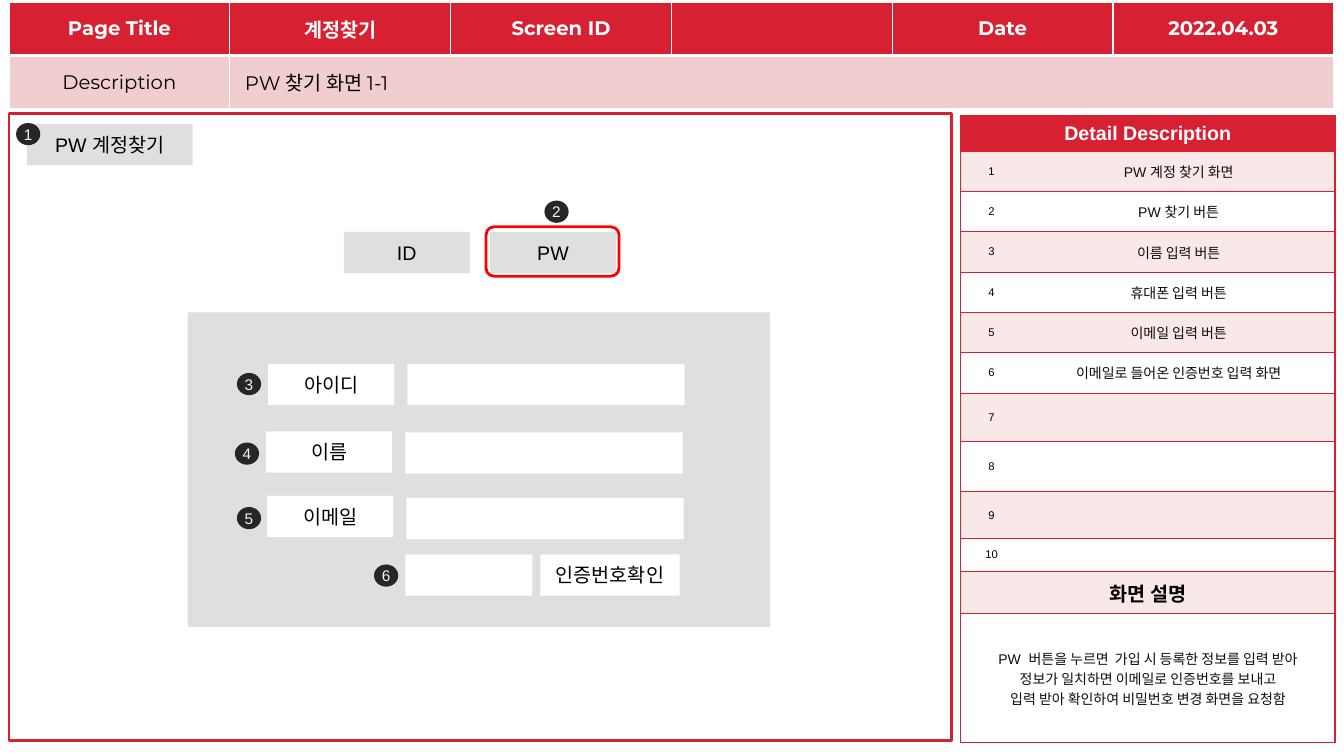
from pptx import Presentation, util as u
from pptx.dml.color import RGBColor
from pptx.enum import shapes, text
from pptx.oxml.xmlchemy import OxmlElement

RED, WHITE, BLACK, GREY = "D82033", "FFFFFF", "000000", "DFDFDF"
PINK, PALE, INK = "F0CDCE", "F8E8E8", "0D0D0D"
NO_STYLE = "{2D5ABB26-0587-4C30-8999-92F81FD0307C}"
RECT = shapes.MSO_SHAPE.RECTANGLE


def color(hex_value):
    return RGBColor.from_string(hex_value)


class Wireframe:
    """Draws the parts of a screen plan on one slide."""
    font = "Arial"
    body_size = 14

    def __init__(self, slide):
        self.slide = slide

    def add_lines(self, frame, lines, size, ink, bold=False, font=None,
                  align=text.PP_ALIGN.CENTER):
        frame.word_wrap = True
        for i, line in enumerate(lines):
            paragraph = frame.paragraphs[0] if i == 0 else frame.add_paragraph()
            paragraph.alignment = align
            run = paragraph.add_run()
            run.text = line
            run.font.size = u.Pt(size)
            run.font.name = font or self.font
            run.font.bold = bold
            run.font.color.rgb = color(ink)

    def box(self, x, y, w, h, fill=WHITE, label="", line=None, kind=RECT,
            size=body_size, ink=BLACK, inset=0.1):
        shape = self.slide.shapes.add_shape(kind, *map(u.Inches, (x, y, w, h)))
        shape.shadow.inherit = False
        if fill:
            shape.fill.solid()
            shape.fill.fore_color.rgb = color(fill)
        else:
            shape.fill.background()
        if line:
            shape.line.color.rgb = color(line)
            shape.line.width = u.Pt(2)
        else:
            shape.line.fill.background()
        if label:
            frame = shape.text_frame
            frame.margin_left = frame.margin_right = u.Inches(inset)
            frame.margin_top = frame.margin_bottom = 0
            frame.vertical_anchor = text.MSO_ANCHOR.MIDDLE
            self.add_lines(frame, [label], size, ink)

    def badge(self, number, x, y):
        self.box(x, y, 0.24, 0.22, "262626", str(number), size=11, ink="F2F2F2",
                 kind=shapes.MSO_SHAPE.OVAL, inset=0)

    def table(self, x, y, widths, heights):
        table = self.slide.shapes.add_table(
            len(heights), len(widths),
            *map(u.Inches, (x, y, sum(widths), sum(heights)))).table
        table.first_row = table.horz_banding = False
        table._tbl.tblPr[0].text = NO_STYLE
        for column, width in zip(table.columns, widths):
            column.width = u.Inches(width)
        for row, height in zip(table.rows, heights):
            row.height = u.Inches(height)
        return table

    def cell(self, cell, lines, fill, borders, size=body_size, ink=BLACK, **style):
        cell.fill.solid()
        cell.fill.fore_color.rgb = color(fill)
        cell.vertical_anchor = text.MSO_ANCHOR.MIDDLE
        if lines:
            self.add_lines(cell.text_frame, lines, size, ink, **style)
        else:
            end = OxmlElement("a:endParaRPr")
            end.set("sz", str(size * 100))
            cell.text_frame.paragraphs[0]._p.append(end)
        self.borders(cell, *borders)

    def borders(self, cell, line, widths):
        """Widths in points by side, in the order L, R, T, B."""
        properties = cell._tc.get_or_add_tcPr()
        for i, (side, width) in enumerate(widths.items()):
            edge = OxmlElement("a:ln" + side)
            edge.set("w", str(u.Pt(width)))
            solid = OxmlElement("a:solidFill")
            tone = OxmlElement("a:srgbClr")
            tone.set("val", line)
            solid.append(tone)
            edge.append(solid)
            properties.insert(i, edge)


def page_header(plan):
    header = plan.table(0.09, 0.02, [2.19] * 6, [0.53] * 2)
    titles = ["Page Title", "계정찾기", "Screen ID", "", "Date", "2022.04.03"]
    thin = dict.fromkeys("LRTB", 1)
    for column, title in enumerate(titles):
        plan.cell(header.cell(0, column), [title] if title else [], RED,
                  (WHITE, {**thin, "B": 3}), ink=WHITE, bold=True, font="Montserrat")
    header.cell(1, 1).merge(header.cell(1, 5))
    plan.cell(header.cell(1, 0), ["Description"], PINK, (WHITE, {**thin, "T": 3}),
              font="Montserrat")
    summary = header.cell(1, 1)
    plan.cell(summary, ["PW 찾기 화면 1-1"], PINK, (WHITE, {**thin, "T": 3}),
              font="Montserrat", align=text.PP_ALIGN.LEFT)
    summary.margin_left = u.Inches(0.15)


def detail_panel(plan):
    details = ["PW 계정 찾기 화면", "PW 찾기 버튼", "이름 입력 버튼", "휴대폰 입력 버튼",
               "이메일 입력 버튼", "이메일로 들어온 인증번호 입력 화면", "", "", "", ""]
    heights = [0.35] + [0.4] * 6 + [0.48, 0.5, 0.46, 0.33, 0.42, 1.28]
    panel = plan.table(9.53, 1.15, [0.61, 3.1], heights)
    frame = (RED, dict.fromkeys("LRTB", 1))

    def full_row(row, lines, fill, **style):
        panel.cell(row, 0).merge(panel.cell(row, 1))
        plan.cell(panel.cell(row, 0), lines, fill, frame, **style)
        plan.borders(panel.cell(row, 1), *frame)

    full_row(0, ["Detail Description"], RED, ink=WHITE, bold=True)
    for row, detail in enumerate(details, 1):
        fill = PALE if row % 2 else WHITE
        plan.cell(panel.cell(row, 0), [str(row)], fill,
                  (RED, dict.fromkeys("LTB", 1)), size=8)
        plan.cell(panel.cell(row, 1), [detail] if detail else [], fill,
                  (RED, dict.fromkeys("RTB", 1)), size=10, ink=INK)
    full_row(11, ["화면 설명"], PALE, bold=True)
    full_row(12, ["PW  버튼을 누르면  가입 시 등록한 정보를 입력 받아",
                  "정보가 일치하면 이메일로 인증번호를 보내고",
                  "입력 받아 확인하여 비밀번호 변경 화면을 요청함"], WHITE, size=10, ink=INK)


def screen(plan):
    # Tabs and form background
    for label, x in (("PW", 4.86), ("ID", 3.41)):
        plan.box(x, 2.3, 1.25, 0.41, GREY, label)
    plan.box(1.86, 3.1, 5.78, 3.12, GREY)

    # Labelled input fields
    fields = [("아이디", 2.66, 3.61, 3.61), ("이름", 2.64, 4.28, 4.29),
              ("이메일", 2.65, 4.92, 4.94)]
    for label, x, label_y, input_y in fields:
        plan.box(x, label_y, 1.25, 0.41, label=label)
        plan.box(x + 1.38, input_y, 2.75, 0.41)

    # Verification code
    plan.box(4.02, 5.5, 1.26, 0.41)
    plan.box(5.36, 5.5, 1.38, 0.41, label="인증번호확인", inset=0.05)

    # Screen name, selected tab and numbered badges
    plan.box(0.27, 1.23, 1.64, 0.41, GREY, "PW 계정찾기")
    plan.box(4.82, 2.25, 1.32, 0.49, None, line="FF0000",
             kind=shapes.MSO_SHAPE.ROUNDED_RECTANGLE)
    spots = [(0.16, 1.22), (5.4, 1.99), (2.35, 3.7), (2.33, 4.39), (2.35, 5.03), (3.71, 5.6)]
    for number, spot in enumerate(spots, 1):
        plan.badge(number, *spot)


def main():
    deck = Presentation()
    deck.slide_width, deck.slide_height = u.Inches(13.33), u.Inches(7.5)
    plan = Wireframe(deck.slides.add_slide(deck.slide_layouts[6]))
    plan.box(0.09, 1.13, 9.35, 6.22, line=RED)
    page_header(plan)
    detail_panel(plan)
    screen(plan)
    deck.save("out.pptx")


if __name__ == "__main__":
    main()
